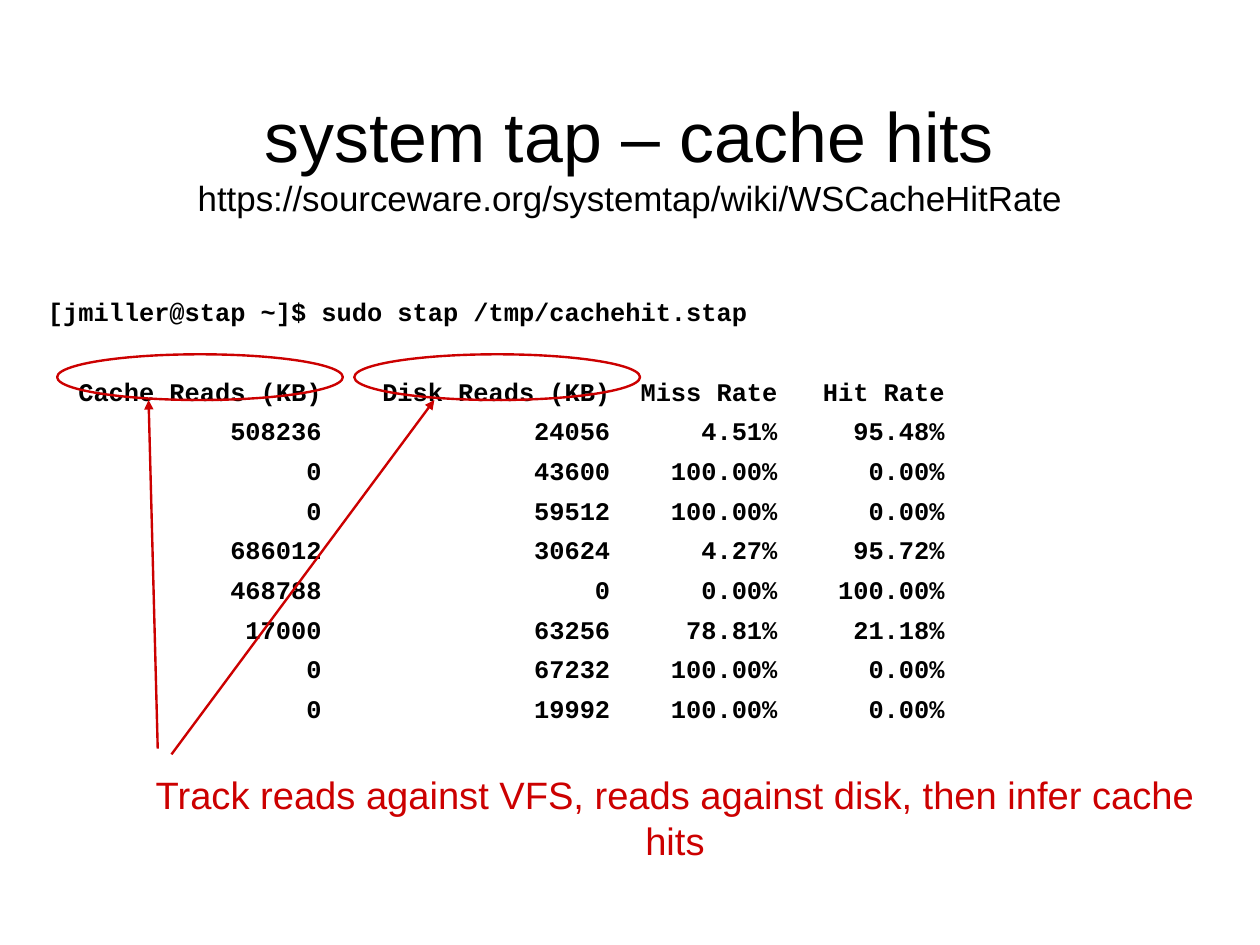
import pptx
import pptx.dml.color
import pptx.enum.shapes
import pptx.enum.text
import pptx.oxml
import pptx.oxml.ns
import pptx.util

BLACK = pptx.dml.color.RGBColor(0x00, 0x00, 0x00)
RED = pptx.dml.color.RGBColor(0xCC, 0x00, 0x00)
ALIGN = pptx.enum.text.PP_ALIGN
ANCHOR = pptx.enum.text.MSO_ANCHOR
AUTO_SIZE = pptx.enum.text.MSO_AUTO_SIZE
CELL = 0.1


def grid(*cells):
    return [pptx.util.Inches(count * CELL) for count in cells]


def apply_format(target, values):
    for name, value in values.items():
        if name == "color":
            target.color.rgb = value
        else:
            setattr(target, name, value)


NO_MARGINS = {"margin_left": 0, "margin_right": 0, "margin_top": 0, "margin_bottom": 0}
TITLE_FONT = {"name": "Arial", "size": pptx.util.Pt(44), "bold": False, "color": BLACK}
LINK_FONT = {**TITLE_FONT, "size": pptx.util.Pt(22)}
TERMINAL_FONT = {"name": "Courier New", "size": pptx.util.Pt(16), "bold": True, "color": BLACK}
CAPTION_FONT = {"name": "Arial", "size": pptx.util.Pt(24), "color": RED}
RED_LINE = {"color": RED, "width": pptx.util.Pt(1.5)}

COMMAND = "[jmiller@stap ~]$ sudo stap /tmp/cachehit.stap"
READINGS = [
    ("Cache Reads (KB)", "Disk Reads (KB)", "Miss Rate", "Hit Rate"),
    ("508236", "24056", "4.51%", "95.48%"),
    ("0", "43600", "100.00%", "0.00%"),
    ("0", "59512", "100.00%", "0.00%"),
    ("686012", "30624", "4.27%", "95.72%"),
    ("468788", "0", "0.00%", "100.00%"),
    ("17000", "63256", "78.81%", "21.18%"),
    ("0", "67232", "100.00%", "0.00%"),
    ("0", "19992", "100.00%", "0.00%"),
]

presentation = pptx.Presentation()
presentation.slide_width = pptx.util.Cm(28)
presentation.slide_height = pptx.util.Cm(21)
slide = presentation.slides.add_slide(presentation.slide_layouts[5])

title = slide.shapes.title
title.left, title.top, title.width, title.height = grid(5.5, 1.7, 99.2, 17.4)
apply_format(title.text_frame, {**NO_MARGINS, "word_wrap": True, "vertical_anchor": ANCHOR.BOTTOM,
                                "auto_size": AUTO_SIZE.NONE})
heading = title.text_frame.paragraphs[0]
heading.alignment = ALIGN.CENTER
run = heading.add_run()
run.text = "system tap – cache hits"
apply_format(run.font, TITLE_FONT)
heading.add_line_break()
run = heading.add_run()
run.text = "https://sourceware.org/systemtap/wiki/WSCacheHitRate"
apply_format(run.font, LINK_FONT)

terminal = slide.shapes.add_textbox(*grid(4.2, 25.9, 106, 38)).text_frame
apply_format(terminal, {**NO_MARGINS, "word_wrap": True})
output = [f"{cache:>18}{disk:>19}{miss:>11}{hit:>11}" for cache, disk, miss, hit in READINGS]
for index, line in enumerate([COMMAND] + output):
    paragraph = terminal.add_paragraph() if index else terminal.paragraphs[0]
    run = paragraph.add_run()
    run.text = line
    apply_format(run.font, TERMINAL_FONT)
    if index:
        paragraph.space_before = pptx.util.Pt(31 if index == 1 else 5.8)

for left in (5, 31):
    ring = slide.shapes.add_shape(pptx.enum.shapes.MSO_SHAPE.OVAL, *grid(left, 31, 25, 4))
    ring.shadow.inherit = False
    ring.fill.background()
    apply_format(ring.line, RED_LINE)

caption = slide.shapes.add_textbox(*grid(9.6, 67, 98.9, 5)).text_frame
apply_format(caption, {"word_wrap": False, "auto_size": AUTO_SIZE.SHAPE_TO_FIT_TEXT})
paragraph = caption.paragraphs[0]
paragraph.alignment = ALIGN.CENTER
run = paragraph.add_run()
run.text = "Track reads against VFS, reads against disk, then infer cache hits"
apply_format(run.font, CAPTION_FONT)

for ends in ((15, 66, 38, 35), (13.8, 65.5, 13, 35)):
    arrow = slide.shapes.add_connector(pptx.enum.shapes.MSO_CONNECTOR.STRAIGHT, *grid(*ends))
    apply_format(arrow.line, RED_LINE)
    head = pptx.oxml.parse_xml(f'<a:tailEnd {pptx.oxml.ns.nsdecls("a")} type="triangle"/>')
    arrow.line._get_or_add_ln().append(head)
    effects = pptx.oxml.parse_xml(f'<a:effectLst {pptx.oxml.ns.nsdecls("a")}/>')
    arrow._element.spPr.append(effects)

presentation.save("out.pptx")
